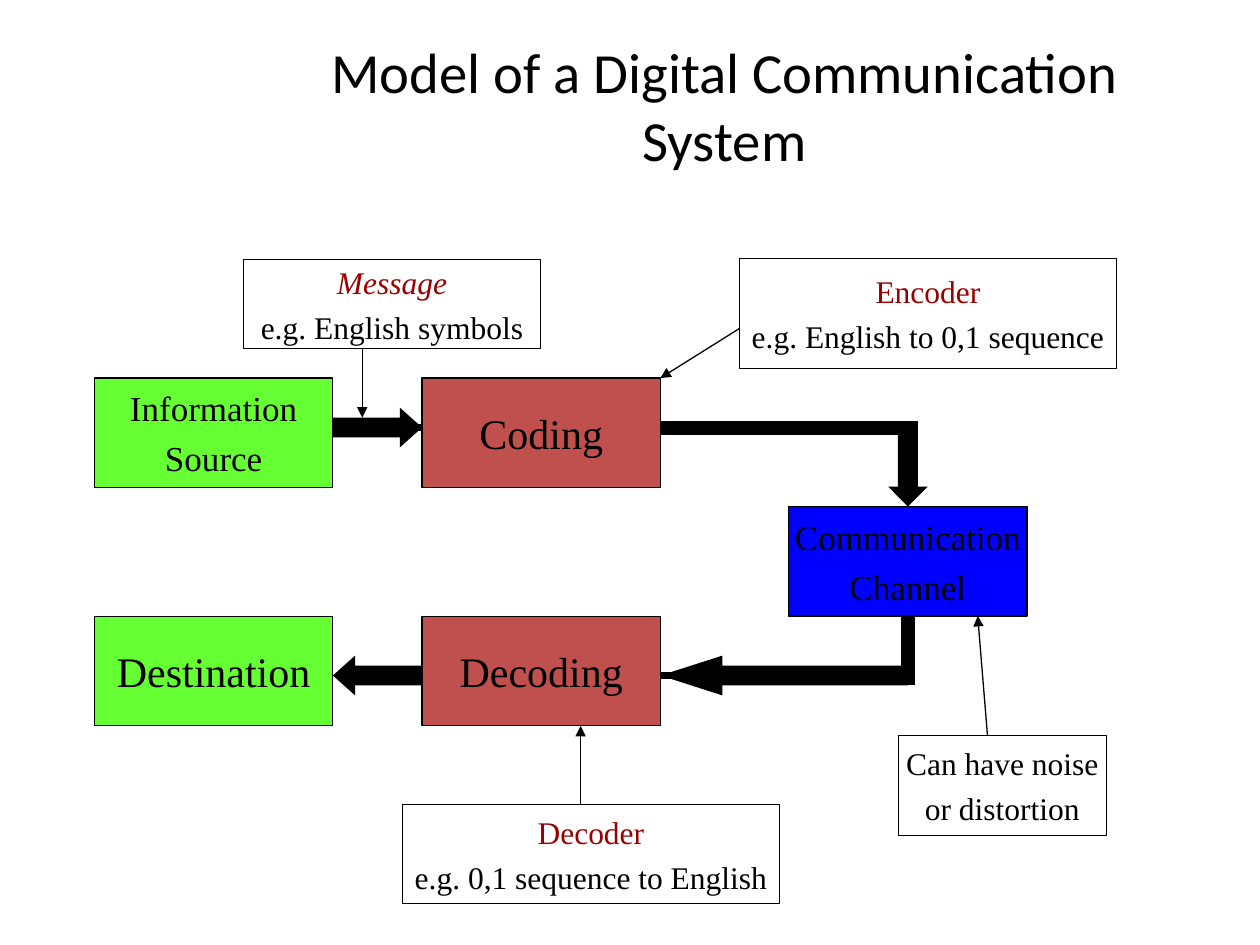
from lxml import etree
from pptx import Presentation
from pptx import util as u
from pptx.dml.color import RGBColor
from pptx.enum import shapes, text
from pptx.oxml import ns

BLACK = RGBColor(0x00, 0x00, 0x00)
WHITE = RGBColor(0xFF, 0xFF, 0xFF)
GREEN = RGBColor(0x66, 0xFF, 0x33)
BRICK = RGBColor(0xC0, 0x50, 0x4D)
BLUE = RGBColor(0x00, 0x00, 0xFF)
DARK_RED = RGBColor(0x99, 0x00, 0x00)
SERIF, SANS = "Times New Roman", "Calibri"
BOX_WIDTH, BOX_HEIGHT = 136.2, 62.6
NOTE_WIDTH, NOTE_HEIGHT = 215.4, 56.7
LEFT, MIDDLE, RIGHT = 54, 241.2, 450.7
TOP, CENTER, BOTTOM = 216, 289.4, 352.2
SOURCE_END, CODER_END = LEFT + BOX_WIDTH, MIDDLE + BOX_WIDTH
CHANNEL_X = RIGHT + BOX_WIDTH / 2
UPPER_Y, LOWER_Y = 244.3, 386
ARROW_HEIGHT = 22.7
STUB, BAR = 4, 8
MESSAGE_X, MESSAGE_TOP, MESSAGE_HEIGHT = 207, 148.3, 51
ENCODER_LEFT, ENCODER_TOP = 422.6, 148
NOISE_LEFT, NOISE_TOP = 513.3, 420.5
DECODER_X, DECODER_LEFT, DECODER_TOP = 331.8, 230, 459.8


def add_text(frame, lines, size, font=SERIF, first_color=BLACK, first_italic=False):
    frame.vertical_anchor = text.MSO_ANCHOR.MIDDLE
    for index, line in enumerate(lines):
        paragraph = frame.add_paragraph() if index else frame.paragraphs[0]
        paragraph.alignment = text.PP_ALIGN.CENTER
        if index:
            paragraph.space_before = u.Pt(0.22 * size)
        run = paragraph.add_run()
        run.text = line
        run.font.name = font
        run.font.size = u.Pt(size)
        run.font.italic = first_italic and index == 0
        run.font.color.rgb = BLACK if index else first_color


class Diagram:
    """Draw the parts of a block diagram on one slide in one style."""

    def __init__(self, slide, line_color=BLACK):
        self.slide = slide
        self.line_color = line_color

    def title(self, line, left, top, width, height):
        shape = self.slide.shapes.add_textbox(*map(u.Pt, (left, top, width, height)))
        shape.text_frame.word_wrap = True
        add_text(shape.text_frame, [line], 32.4, SANS)

    def box(self, lines, left, top, width=BOX_WIDTH, height=BOX_HEIGHT,
            fill=WHITE, size=18, border=0.5, **text_format):
        shape = self.slide.shapes.add_shape(
            shapes.MSO_SHAPE.RECTANGLE, *map(u.Pt, (left, top, width, height)))
        shape.shadow.inherit = False
        shape.fill.solid()
        shape.fill.fore_color.rgb = fill
        shape.line.color.rgb = self.line_color
        shape.line.width = u.Pt(border)
        shape.text_frame.word_wrap = False
        add_text(shape.text_frame, lines, size, **text_format)

    def line(self, start, end, width=0.75, arrow=False):
        connector = self.slide.shapes.add_connector(
            shapes.MSO_CONNECTOR.STRAIGHT, *map(u.Pt, (*start, *end)))
        connector.line.color.rgb = self.line_color
        connector.line.width = u.Pt(width)
        if arrow:
            outline = connector.line._get_or_add_ln()
            etree.SubElement(outline, ns.qn("a:tailEnd"), type="triangle")
        etree.SubElement(connector._element.spPr, ns.qn("a:effectLst"))

    def block_arrow(self, kind, left, top, width, height, head=0.56):
        shape = self.slide.shapes.add_shape(kind, *map(u.Pt, (left, top, width, height)))
        shape.adjustments[0] = 0.5
        shape.adjustments[1] = head
        shape.shadow.inherit = False
        shape.fill.solid()
        shape.fill.fore_color.rgb = self.line_color
        shape.line.fill.background()


def main():
    presentation = Presentation()
    presentation.slide_width, presentation.slide_height = u.Pt(720), u.Pt(540)
    diagram = Diagram(presentation.slides.add_slide(presentation.slide_layouts[6]))
    diagram.title("Model of a Digital Communication System", 138, 29.5, 552, 60.5)

    diagram.line((SOURCE_END, UPPER_Y), (MIDDLE, UPPER_Y), STUB)
    diagram.line((CHANNEL_X, LOWER_Y), (CODER_END, LOWER_Y), STUB)

    for lines, left, top, fill, size in (
        (["Destination"], LEFT, BOTTOM, GREEN, 24),
        (["Decoding"], MIDDLE, BOTTOM, BRICK, 24),
        (["Communication", "Channel"], RIGHT, CENTER, BLUE, 20),
        (["Coding"], MIDDLE, TOP, BRICK, 24),
        (["Information", "Source"], LEFT, TOP, GREEN, 20),
    ):
        diagram.box(lines, left, top, fill=fill, size=size, border=0.75)

    for start, end in (
        ((MESSAGE_X, MESSAGE_TOP + MESSAGE_HEIGHT), (MESSAGE_X, UPPER_Y - ARROW_HEIGHT / 4)),
        ((NOISE_LEFT + 51, NOISE_TOP), (558.7, CENTER + BOX_HEIGHT)),
        ((ENCODER_LEFT, 187.7), (CODER_END, TOP)),
        ((DECODER_X, DECODER_TOP), (DECODER_X, BOTTOM + BOX_HEIGHT)),
    ):
        diagram.line(start, end, arrow=True)

    diagram.box(["Message", "e.g. English symbols"], 139, MESSAGE_TOP,
                170, MESSAGE_HEIGHT, first_color=DARK_RED, first_italic=True)
    diagram.box(["Encoder", "e.g. English to 0,1 sequence"], ENCODER_LEFT, ENCODER_TOP,
                NOTE_WIDTH, first_color=DARK_RED)
    diagram.box(["Can have noise", "or distortion"], NOISE_LEFT, NOISE_TOP,
                119, NOTE_HEIGHT)
    diagram.box(["Decoder", "e.g. 0,1 sequence to English"], DECODER_LEFT, DECODER_TOP,
                NOTE_WIDTH, NOTE_HEIGHT, first_color=DARK_RED)

    gap = MIDDLE - SOURCE_END
    half = ARROW_HEIGHT / 2
    arrows = shapes.MSO_SHAPE
    diagram.block_arrow(arrows.RIGHT_ARROW, SOURCE_END, UPPER_Y - half, gap, ARROW_HEIGHT)
    diagram.block_arrow(arrows.LEFT_ARROW, CODER_END, LOWER_Y - half,
                        CHANNEL_X - CODER_END, ARROW_HEIGHT, 1.56)
    diagram.line((CHANNEL_X, CENTER + BOX_HEIGHT), (CHANNEL_X, LOWER_Y + half / 2), BAR)
    diagram.line((CODER_END, UPPER_Y), (CHANNEL_X + half / 2, UPPER_Y), BAR)
    diagram.block_arrow(arrows.DOWN_ARROW, CHANNEL_X - half, UPPER_Y,
                        ARROW_HEIGHT, CENTER - UPPER_Y, 0.5)
    diagram.block_arrow(arrows.LEFT_ARROW, SOURCE_END, LOWER_Y - half, gap, ARROW_HEIGHT)

    presentation.save("out.pptx")


if __name__ == "__main__":
    main()
